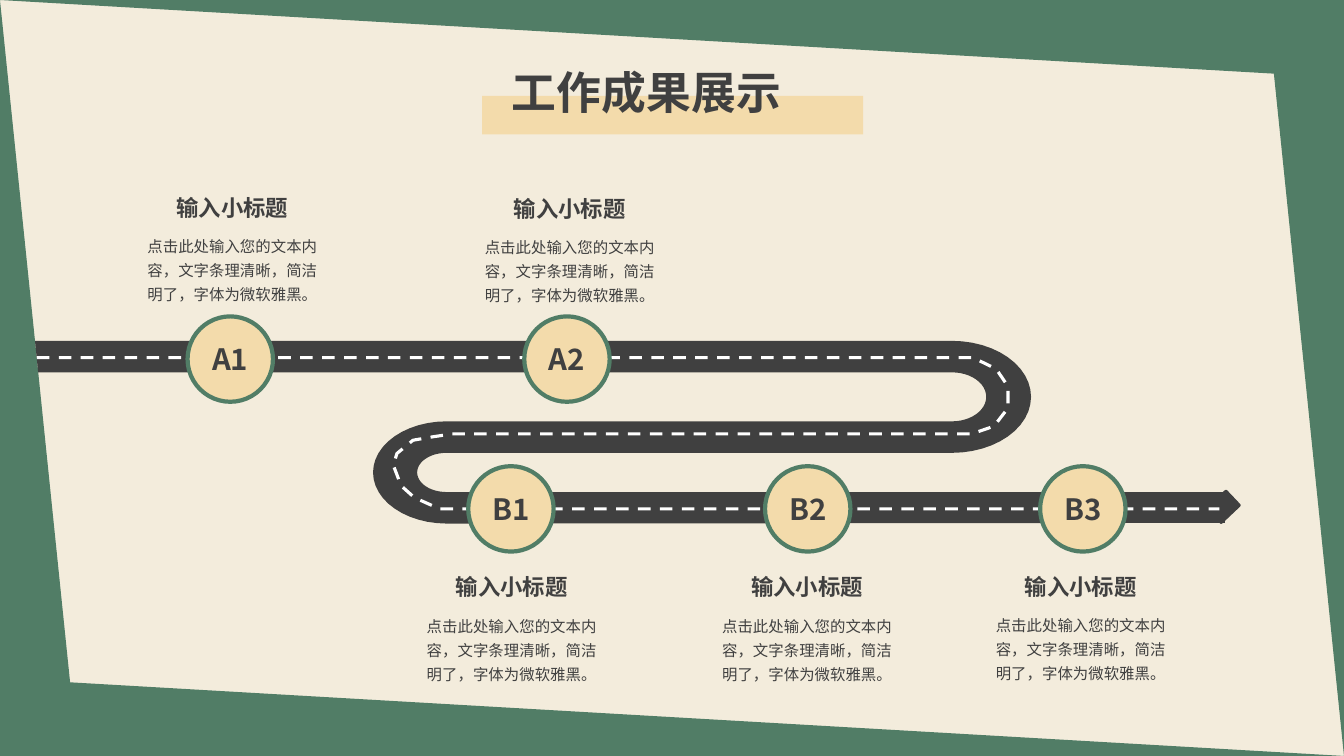
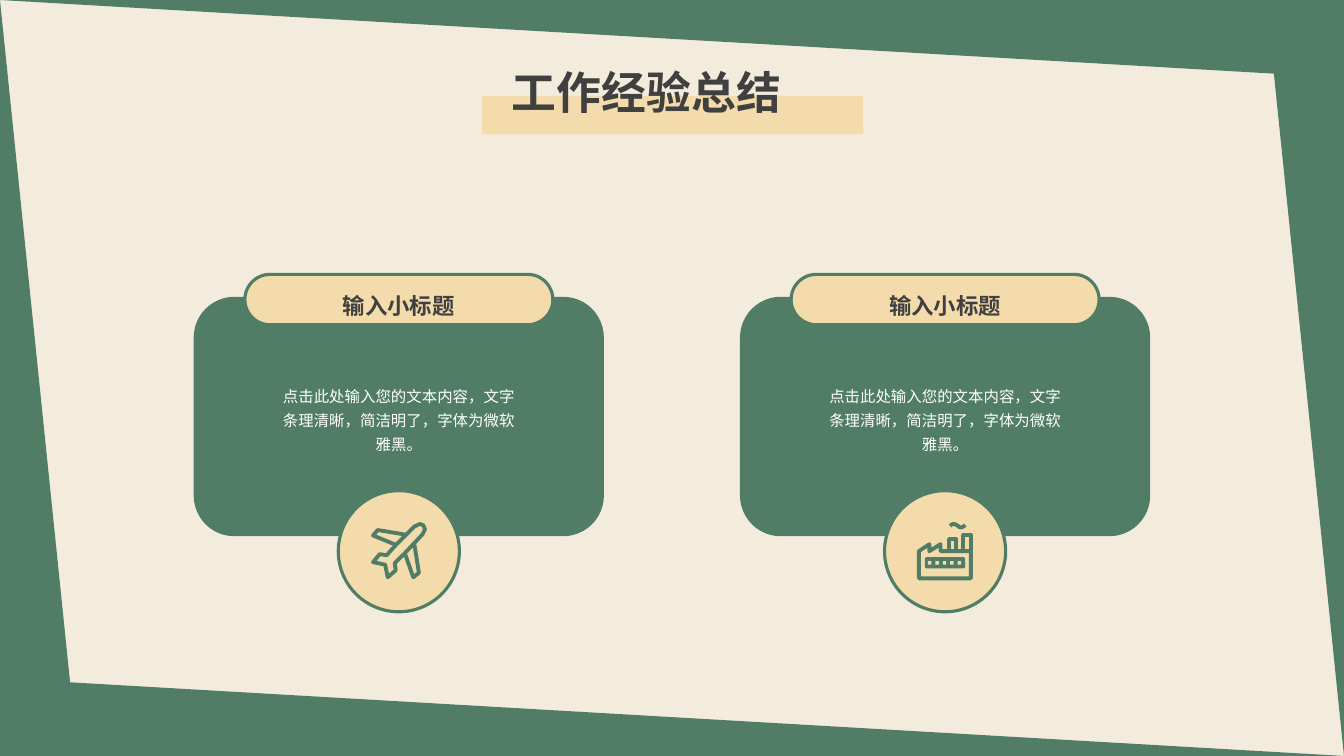
from math import cos, radians, sin

from lxml import etree
from pptx import Presentation
from pptx.dml.color import RGBColor
from pptx.enum import dml, shapes as sh, text as tx
from pptx.oxml.ns import qn
from pptx.util import Pt

GREEN = RGBColor(0x51, 0x7D, 0x66)
CREAM = RGBColor(0xF3, 0xEC, 0xDC)
SAND = RGBColor(0xF3, 0xDB, 0xAB)
DARK = RGBColor(0x40, 0x40, 0x40)
WHITE = RGBColor(0xFF, 0xFF, 0xFF)
FONT = "Noto Sans CJK SC"
KIND = sh.MSO_SHAPE
ALIGN = tx.PP_ALIGN
WIDE, HIGH, EDGE = 960, 540, 55.5
HEAD = "输入小标题"
BODY = "点击此处输入您的文本内容，文字条理清晰，简洁明了，字体为微软雅黑。"


def draw(slide, spot, kind=None, fill=None, line=None, width=0, close=True):
    """Add a preset shape in the box spot or, with no kind, an outline through the points of spot."""
    if kind is None:
        dots = [(Pt(x), Pt(y)) for x, y in spot]
        path = slide.shapes.build_freeform(*dots[0], scale=1.0)
        path.add_line_segments(dots[1:], close=close)
        shape = path.convert_to_shape()
    else:
        shape = slide.shapes.add_shape(kind, *map(Pt, spot))
    shape.shadow.inherit = False
    if fill is None:
        shape.fill.background()
    else:
        shape.fill.solid()
        shape.fill.fore_color.rgb = fill
    if line is None:
        shape.line.fill.background()
    else:
        shape.line.color.rgb = line
        shape.line.width = Pt(width)
    return shape


def write(shape, words, size, color=DARK, bold=False, align=ALIGN.CENTER,
          space=1.0, anchor=tx.MSO_ANCHOR.TOP, pad=(7.2, 3.6)):
    frame = shape.text_frame
    frame.word_wrap = True
    frame.auto_size = tx.MSO_AUTO_SIZE.NONE
    frame.vertical_anchor = anchor
    frame.margin_left = frame.margin_right = Pt(pad[0])
    frame.margin_top = frame.margin_bottom = Pt(pad[1])
    para = frame.paragraphs[0]
    para.alignment = align
    para.line_spacing = space
    run = para.add_run()
    run.text = words
    font = run.font
    font.size, font.bold, font.name = Pt(size), bold, FONT
    font.color.rgb = color
    props = run._r.get_or_add_rPr()
    etree.SubElement(props, qn("a:ea"), typeface=FONT)


deck = Presentation()
deck.slide_width, deck.slide_height = Pt(WIDE), Pt(HIGH)

# Shared layout: cream ground, title place, green edges, title band
back = deck.slide_master.background.fill
back.solid()
back.fore_color.rgb = CREAM
layout = deck.slide_layouts.get_by_name("Title Only")
for holder in list(layout.placeholders):
    if holder.placeholder_format.type == sh.PP_PLACEHOLDER.TITLE:
        holder.left, holder.top = Pt(358.5), Pt(42.5)
        holder.width, holder.height = Pt(242), Pt(46)
    else:
        layout.shapes.element.remove(holder.element)

road, cards = [deck.slides.add_slide(layout) for _ in range(2)]
edges = [
    ((0, 0, WIDE, EDGE), 180),
    ((WIDE - EDGE, 0, EDGE, HIGH), 180),
    ((0, HIGH - EDGE, WIDE, EDGE), 0),
    ((0, 0, EDGE, HIGH), 0),
]
frame = []
for box, turn in edges:
    edge = draw(road, box, KIND.RIGHT_TRIANGLE, GREEN)
    edge.rotation = turn
    frame.append(edge)
frame.append(draw(road, (344.5, 68.5, 272, 27.5), KIND.RECTANGLE, SAND))
for part in frame:
    layout.shapes.element.append(part.element)

for slide, title in ((road, "工作成果展示"), (cards, "工作经验总结")):
    write(slide.shapes.title, title, 32, bold=True, align=ALIGN.JUSTIFY)

# Slide 1: winding road, each bend as centre, radii, start angle, sweep
bends = [
    (680, 283.5, 56.5, 40, -90, 180),
    (319, 337.5, 21, 14, 270, -180),
    (875, 362.5, 0, 11, -90, 180),
    (319, 337.5, 52.5, 36.5, 90, 180),
    (680, 283.5, 24.5, 17.5, 90, -180),
]
STEPS = 24
rim = [(25, 243.5)]
for x, y, wide, high, start, sweep in bends:
    for step in range(STEPS + 1):
        turn = radians(start + sweep * step / STEPS)
        rim.append((x + wide * cos(turn), y + high * sin(turn)))
rim.append((27.3, 266))
draw(road, rim, fill=DARK)
tip = draw(road, (866, 352, 16, 20), KIND.ROUNDED_RECTANGLE, DARK)
tip.adjustments[0] = 0.08
tip.rotation = 226.6

lane = [
    (871, 363.5), (314, 363.5), (296, 355.5), (286.5, 347), (281, 332.5),
    (283.5, 324), (295, 314.5), (309.5, 312), (323, 310), (694, 310),
    (710, 304.5), (720, 291.5), (720, 276), (711.5, 263.5), (695, 255.5),
    (26.3, 255.5),
]
dash = draw(road, lane[::-1], line=WHITE, width=2.25, close=False)
dash.line.dash_style = dml.MSO_LINE.DASH

NODE = 61
stops = [  # label, node centre, text centre, text top
    ("A1", 164.5, 256.5, 166, 125.5),
    ("A2", 405, 256.5, 407, 126),
    ("B1", 365, 363.5, 365.5, 396.5),
    ("B2", 577, 363.5, 576.5, 396.5),
    ("B3", 773.5, 363.5, 772, 396),
]
for label, x, y, mid, top in stops:
    node = draw(road, (x - NODE / 2, y - NODE / 2, NODE, NODE), KIND.OVAL, SAND, GREEN, 3)
    write(node, label, 21, bold=True, anchor=tx.MSO_ANCHOR.MIDDLE, pad=(0, 0))
    head = road.shapes.add_textbox(*map(Pt, (mid - 58, top, 116, 33)))
    write(head, HEAD, 16, bold=True, space=1.5)
    body = road.shapes.add_textbox(*map(Pt, (mid - 72.75, top + 36.5, 145.5, 59)))
    write(body, BODY, 11, space=1.3)

# Slide 2: two cards, icon strokes measured from the badge corner
plane = [
    ([(58.3, 23.8), (60.8, 24.8), (61.9, 27.7), (60.1, 31.3), (47.2, 45),
      (40.3, 51.8), (41, 56.9), (35.3, 61.9), (33.5, 52.9), (24.8, 51.1),
      (29.5, 45.4), (34.6, 46.1), (41.4, 38.5), (54.4, 25.6)], True),
    ([(47.5, 31.3), (28.1, 28.1), (24.8, 32), (40.7, 38.5)], False),
    ([(54.4, 38.5), (57.6, 58.7), (53.6, 61.9), (47.9, 45.7)], False),
]
plant = [
    ([(24.5, 62.6), (24.5, 43.2), (32, 38.2), (32, 43.2), (40, 38.2),
      (40, 43.2), (61.6, 43.2), (61.6, 62.6)], True),
    ([(61.6, 43.2), (61.6, 31.7), (56.2, 31.7), (56.2, 43.2)], False),
    ([(51.1, 43.2), (51.1, 34.6), (46.1, 34.6), (46.1, 43.2)], False),
    ([(46.8, 25.2), (48.2, 24), (49.7, 23.8), (52, 24.8), (53.3, 26),
      (54.7, 26.3), (56.2, 25.8), (57.6, 24.5)], False),
]
BADGE = 86.5
for mid, icon in ((284.9, plane), (675.1, plant)):
    card = draw(cards, (mid - 146.5, 212, 293, 171), KIND.ROUNDED_RECTANGLE, GREEN)
    card.adjustments[0] = 0.17
    pill = draw(cards, (mid - 110, 196, 220, 36), KIND.ROUNDED_RECTANGLE, SAND, GREEN, 2.25)
    pill.adjustments[0] = 0.5
    left, top = mid - BADGE / 2, 350.5
    draw(cards, (left, top, BADGE, BADGE), KIND.OVAL, SAND, GREEN, 2.25)
    for dots, close in icon:
        draw(cards, [(left + x, top + y) for x, y in dots],
             line=GREEN, width=2.75, close=close)
    if icon is plant:
        band = (left + 28.8, top + 47.5, 28.8, 8)
        draw(cards, band, KIND.ROUNDED_RECTANGLE, GREEN)
        for pane in range(5):
            box = (left + 31 + 5.3 * pane, top + 50.3, 2.5, 2.5)
            draw(cards, box, KIND.RECTANGLE, SAND)
    head = cards.shapes.add_textbox(*map(Pt, (mid - 58, 195.5, 116, 33)))
    write(head, HEAD, 16, bold=True, space=1.5)
    body = cards.shapes.add_textbox(*map(Pt, (mid - 92.25, 269, 184.5, 59)))
    write(body, BODY, 11, WHITE, space=1.3)

deck.save("out.pptx")
